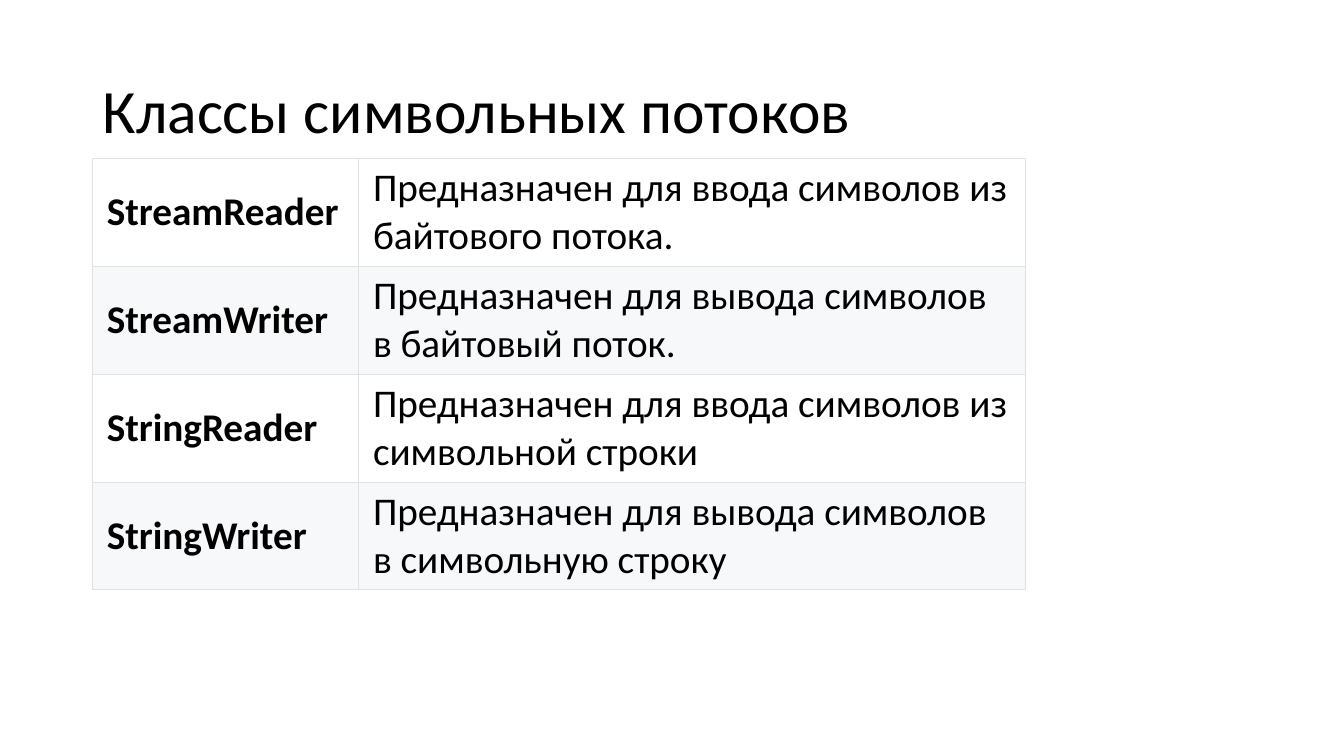
from dataclasses import dataclass

from lxml import etree
from pptx import Presentation
from pptx.dml.color import RGBColor
from pptx.enum.text import MSO_ANCHOR, PP_ALIGN
from pptx.oxml.ns import qn
from pptx.util import Inches, Pt

MIDDLE = MSO_ANCHOR.MIDDLE
LEFT = PP_ALIGN.LEFT


@dataclass(frozen=True)
class Theme:
    font: str = "Calibri"
    ink: str = "000000"
    line: str = "DFE2E5"
    bands: tuple = ("FFFFFF", "F6F8FA")
    title: int = 44
    body: int = 28
    rule: float = 0.75


theme = Theme()


def style(font, size, bold=False):
    font.name = theme.font
    font.size = Pt(size)
    font.bold = bold
    font.color.rgb = RGBColor.from_string(theme.ink)


def border(cell):
    """Draw a thin line on all four sides; call before the cell is filled."""
    props = cell._tc.get_or_add_tcPr()
    for side in ("lnL", "lnR", "lnT", "lnB"):
        line = etree.SubElement(props, qn(f"a:{side}"), w=str(Pt(theme.rule)))
        fill = etree.SubElement(line, qn("a:solidFill"))
        etree.SubElement(fill, qn("a:srgbClr"), val=theme.line)


deck = Presentation()
deck.slide_width = Inches(13.33)
deck.slide_height = Inches(7.5)
slide = deck.slides.add_slide(deck.slide_layouts[5])

# Title
title = slide.shapes.title
title.left, title.top = Inches(0.92), Inches(0.4)
title.width, title.height = Inches(11.5), Inches(1.45)
frame = title.text_frame
frame.text = "Классы символьных потоков"
frame.word_wrap = True
frame.vertical_anchor = MIDDLE
head = frame.paragraphs[0]
head.alignment = LEFT
head.line_spacing = 0.9
style(head.runs[0].font, theme.title)

# Table of stream classes
rows = [
    ("StreamReader", "Предназначен для ввода символов из байтового потока."),
    ("StreamWriter", "Предназначен для вывода символов в байтовый поток."),
    ("StringReader", "Предназначен для ввода символов из символьной строки"),
    ("StringWriter", "Предназначен для вывода символов в символьную строку"),
]
widths = (2.64, 6.61)
table = slide.shapes.add_table(
    len(rows), len(widths), Inches(0.92), Inches(1.57),
    Inches(sum(widths)), Inches(4.28)).table
table.first_row = False
table.horz_banding = False
for col, width in zip(table.columns, widths):
    col.width = Inches(width)

for r, texts in enumerate(rows):
    band = RGBColor.from_string(theme.bands[r % 2])
    for c, text in enumerate(texts):
        cell = table.cell(r, c)
        cell.text_frame.text = text
        cell.vertical_anchor = MIDDLE
        cell.margin_left = cell.margin_right = Inches(0.14)
        cell.margin_top = cell.margin_bottom = Inches(0.06)
        border(cell)
        cell.fill.solid()
        cell.fill.fore_color.rgb = band
        style(cell.text_frame.paragraphs[0].runs[0].font, theme.body, c == 0)

deck.save("out.pptx")
